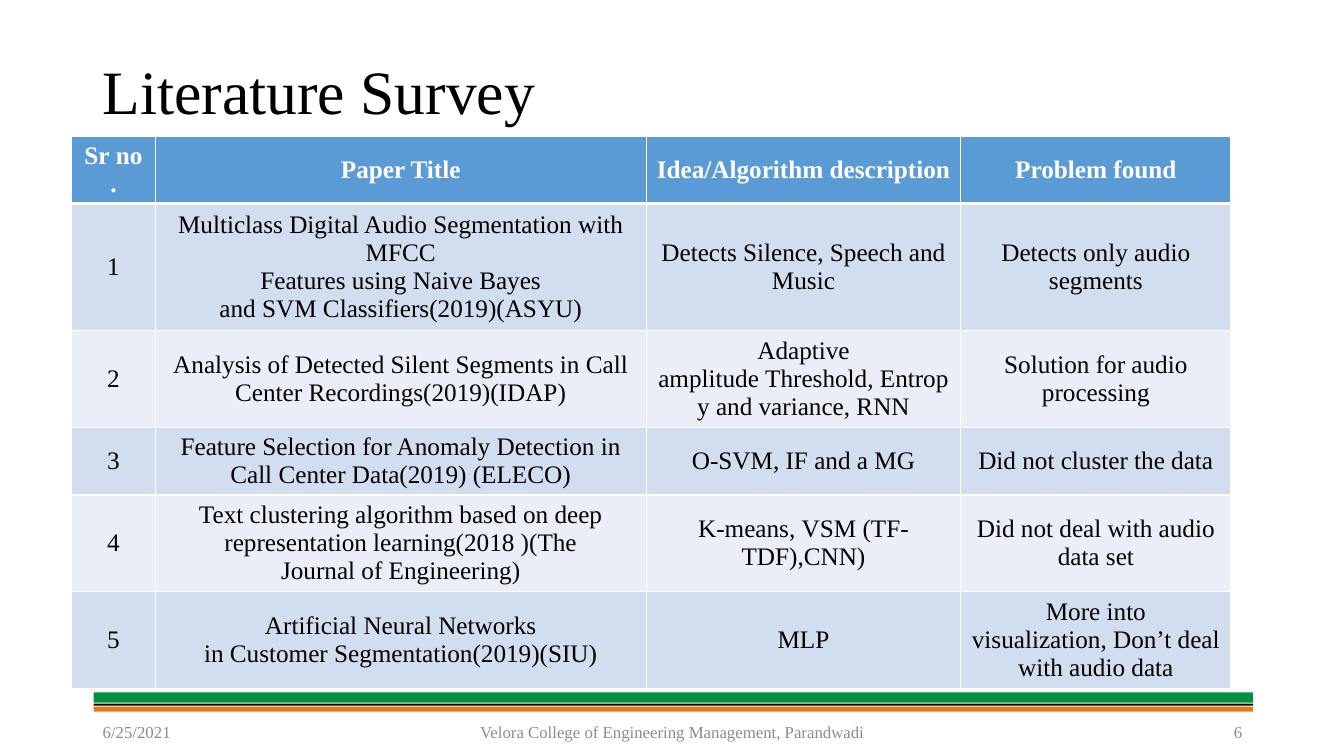
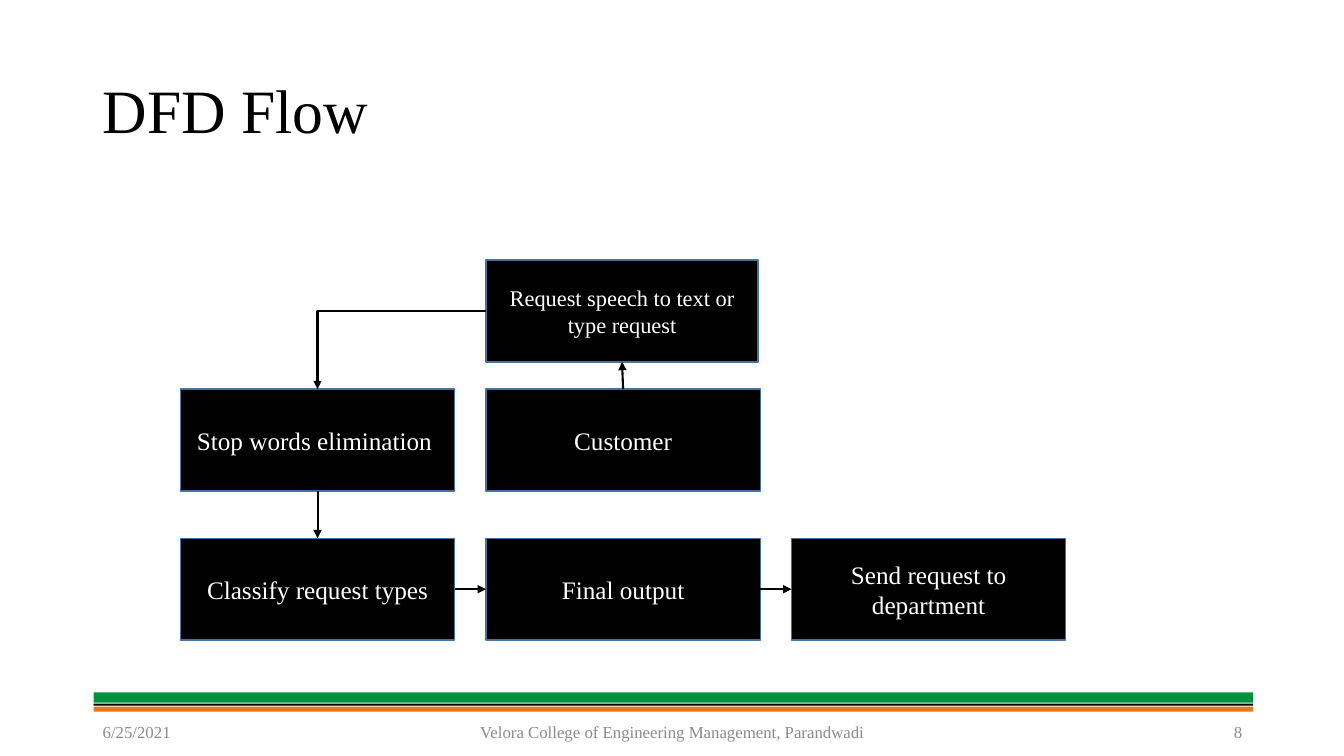
from pptx import Presentation
from pptx.dml.color import RGBColor as RGB
from pptx.enum.shapes import MSO_CONNECTOR as CONN, MSO_SHAPE as SHAPE
from pptx.enum.text import MSO_ANCHOR as ANCHOR, PP_ALIGN as ALIGN
from pptx.oxml.ns import qn
from pptx.util import Emu, Pt
from lxml.etree import SubElement as Sub

PX = 9144
FONT = "Times New Roman"
HARD = chr(160)
BLACK = RGB(0x00, 0x00, 0x00)
WHITE = RGB(0xFF, 0xFF, 0xFF)
GREEN = RGB(0x02, 0x91, 0x3F)
ORANGE = RGB(0xE6, 0x78, 0x17)
GRAY = RGB(0x8C, 0x8C, 0x8C)
EDGE = RGB(0x43, 0x73, 0x9E)
HEAD = RGB(0x5B, 0x9B, 0xD5)
ODD = RGB(0xD2, 0xDE, 0xEF)
EVEN = RGB(0xEA, 0xEF, 0xF7)

BANDS = [(687, 10, GREEN), (701, 5, ORANGE), (698, 2, BLACK)]
DATE = "6/25/2021"
SCHOOL = "Velora College of Engineering Management, Parandwadi"

COLS = [83, 487, 312, 268]
ROWS = [67, 124, 95, 67, 95, 95]
PAPERS = [
    ["Sr_no.", "Paper Title", "Idea/Algorithm description", "Problem found"],
    ["1",
     "Multiclass Digital Audio Segmentation with MFCC\n"
     "Features using Naive Bayes and_SVM_Classifiers(2019)(ASYU)",
     "Detects Silence, Speech and Music",
     "Detects only audio segments"],
    ["2",
     "Analysis of Detected Silent Segments in Call\n"
     "Center Recordings(2019)(IDAP)",
     "Adaptive amplitude_Threshold,_Entropy and_variance,_RNN",
     "Solution for audio processing"],
    ["3",
     "Feature Selection for Anomaly Detection in Call_Center_Data(2019) (ELECO)",
     "O-SVM, IF and a MG",
     "Did not cluster the data"],
    ["4",
     "Text clustering algorithm based on deep\n"
     "representation learning(2018 )(The Journal_of_Engineering)",
     "K-means,_VSM (TF-TDF),CNN)",
     "Did not deal with audio data_set"],
    ["5",
     "Artificial Neural Networks in_Customer_Segmentation(2019)(SIU)",
     "MLP",
     "More into visualization,_Don’t_deal with audio data"],
]

LEFT, STEP = 179, 303
TOPS = [258, 386, 534]
TOP, WEST, BOTTOM, EAST = range(4)
STEPS = {
    "speech": (1, 0, 270, 16, "Request speech to text or type request"),
    "stop": (0, 1, 272, 18, "Stop words elimination "),
    "client": (1, 1, 272, 18, "Customer"),
    "class": (0, 2, 272, 18, "Classify request types"),
    "final": (1, 2, 272, 18, "Final output"),
    "send": (2, 2, 272, 18, "Send request to department"),
}
LINKS = [
    ("speech", WEST, "stop", TOP),
    ("stop", BOTTOM, "class", TOP),
    ("client", TOP, "speech", BOTTOM),
    ("class", EAST, "final", WEST),
    ("final", EAST, "send", WEST),
]


def px(*nums):
    return [Emu(num * PX) for num in nums]


def write(frame, text, size, color, align=ALIGN.LEFT, bold=False, space=None):
    frame.word_wrap = True
    for num, line in enumerate(text.split("\n")):
        para = frame.add_paragraph() if num else frame.paragraphs[0]
        para.alignment = align
        para.line_spacing = space
        run = para.add_run()
        run.text = line.replace("_", HARD)
        font = run.font
        font.name, font.size, font.bold = FONT, Pt(size), bold
        font.color.rgb = color


def label(slide, area, text, size, color, align=ALIGN.LEFT, space=None):
    frame = slide.shapes.add_textbox(*px(*area)).text_frame
    frame.vertical_anchor = ANCHOR.MIDDLE
    write(frame, text, size, color, align, space=space)


def box(slide, area, fill, edge=None):
    shape = slide.shapes.add_shape(SHAPE.RECTANGLE, *px(*area))
    shape.shadow.inherit = False
    shape.fill.solid()
    shape.fill.fore_color.rgb = fill
    if edge is None:
        shape.line.fill.background()
    else:
        shape.line.color.rgb = edge
        shape.line.width = Pt(1)
    return shape


def link(slide, start, out, end, into):
    bent = out % 2 != into % 2
    kind = CONN.ELBOW if bent else CONN.STRAIGHT
    line = slide.shapes.add_connector(kind, 0, 0, 0, 0)
    line.begin_connect(start, out)
    line.end_connect(end, into)
    line.line.color.rgb = BLACK
    line.line.width = Pt(1.5)
    props = line.element.spPr
    if bent:
        props.find(qn("a:prstGeom")).set("prst", "bentConnector2")
    Sub(props.find(qn("a:ln")), qn("a:tailEnd"), type="triangle")
    Sub(props, qn("a:effectLst"))


def border(cell, row):
    props = cell._tc.get_or_add_tcPr()
    thick = {0: "B", 1: "T"}.get(row)
    for side in "LRTB":
        width = Pt(3 if side == thick else 1)
        line = Sub(props, qn(f"a:ln{side}"), w=str(width))
        fill = Sub(line, qn("a:solidFill"))
        Sub(fill, qn("a:srgbClr"), val=str(WHITE))


def grid(slide, left, top, data):
    area = px(left, top, sum(COLS), sum(ROWS))
    table = slide.shapes.add_table(len(ROWS), len(COLS), *area).table
    for col, width in zip(table.columns, px(*COLS)):
        col.width = width
    for row, high in zip(table.rows, px(*ROWS)):
        row.height = high
    for row, texts in enumerate(data):
        first = row == 0
        fill = HEAD if first else ODD if row % 2 else EVEN
        for col, text in enumerate(texts):
            cell = table.cell(row, col)
            cell.vertical_anchor = ANCHOR.MIDDLE
            cell.margin_top, cell.margin_bottom = px(3, 3)
            border(cell, row)
            cell.fill.solid()
            cell.fill.fore_color.rgb = fill
            write(cell.text_frame, text, 18, WHITE if first else BLACK,
                  ALIGN.CENTER, first)


def flow(slide):
    boxes = {}
    for key, (col, row, width, size, text) in STEPS.items():
        area = (LEFT + col * STEP, TOPS[row], width, 101)
        boxes[key] = box(slide, area, BLACK, EDGE)
        frame = boxes[key].text_frame
        frame.vertical_anchor = ANCHOR.MIDDLE
        write(frame, text, size, WHITE, ALIGN.CENTER)
    for start, out, end, into in LINKS:
        link(slide, boxes[start], out, boxes[end], into)


def page(deck, title, high, num):
    slide = deck.slides.add_slide(deck.slide_layouts[6])
    for top, thick, color in BANDS:
        box(slide, (93, top, 1150, thick), color)
    label(slide, (92, 40, 1150, high), title, 44, BLACK, space=0.9)
    for left, width, text, align in [
        (92, 300, DATE, ALIGN.LEFT),
        (442, 450, SCHOOL, ALIGN.CENTER),
        (942, 300, str(num), ALIGN.RIGHT),
    ]:
        label(slide, (left, 706, width, 40), text, 12, GRAY, align)
    return slide


def main():
    deck = Presentation()
    deck.slide_width, deck.slide_height = px(1333, 750)
    grid(page(deck, "Literature Survey", 107, 6), 71, 135, PAPERS)
    flow(page(deck, "DFD Flow", 145, 8))
    deck.save("out.pptx")


if __name__ == "__main__":
    main()
